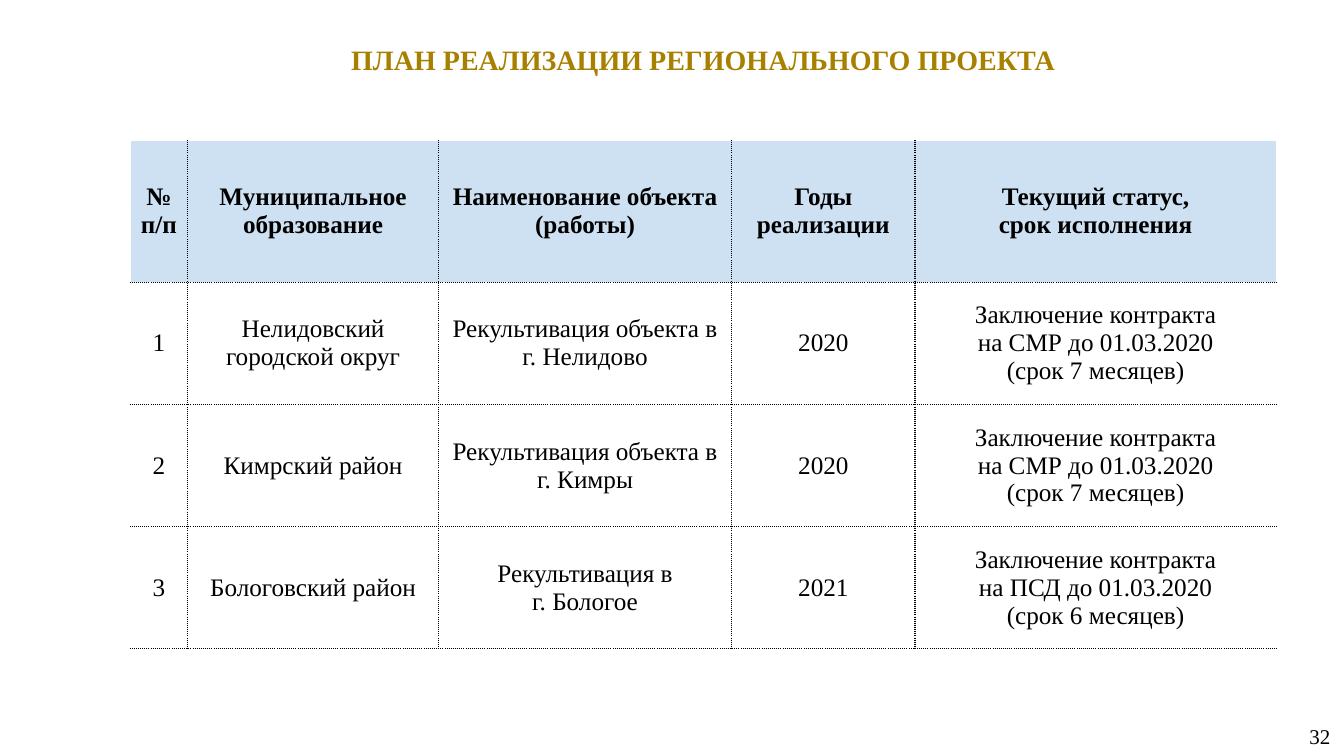
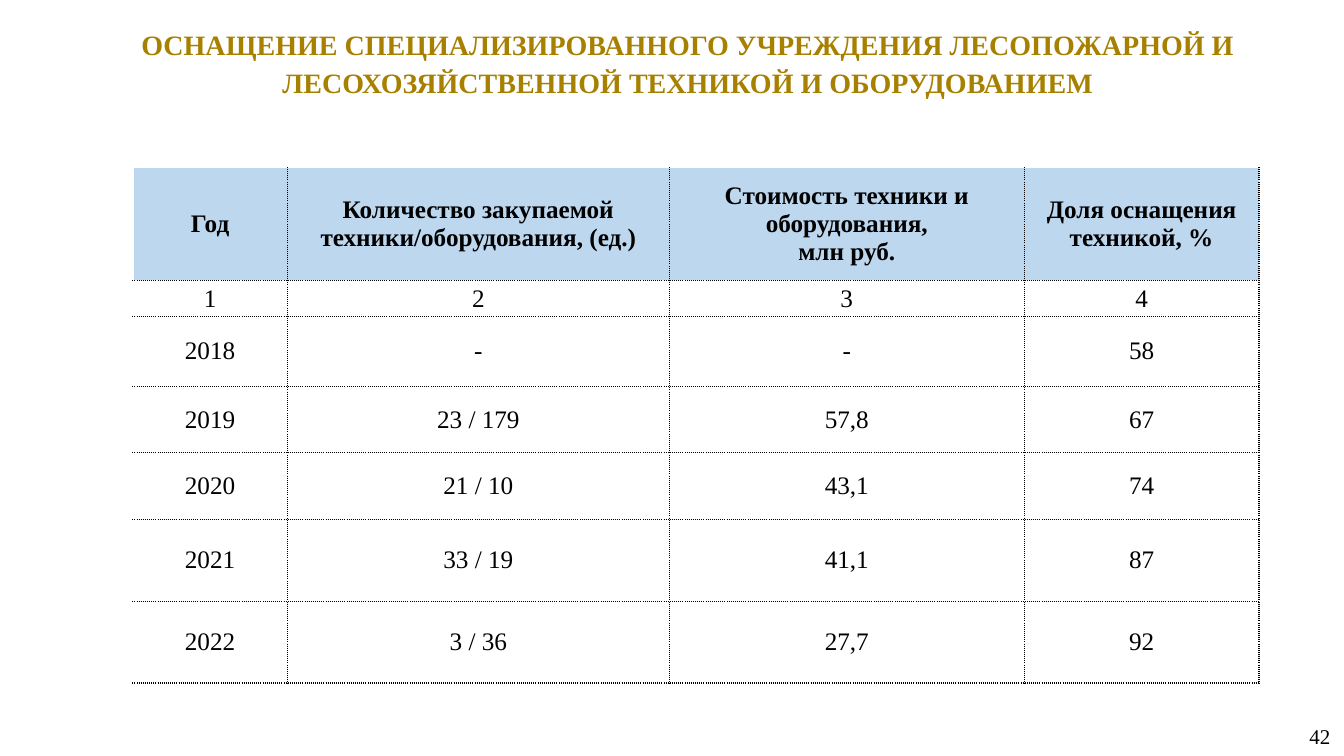
"""Build two slides with a title, a dotted-rule table and a page number each."""
from lxml import etree
from pptx import Presentation
from pptx import util as u
from pptx.dml.color import RGBColor
from pptx.enum import text as t
from pptx.oxml.ns import qn

COLORS = {"title": "A88000", "text": "000000", "rule": "000000", "edge": "FFFFFF"}
FONT = "Times New Roman"

SLIDES = [
    {
        "title": "ПЛАН РЕАЛИЗАЦИИ РЕГИОНАЛЬНОГО ПРОЕКТА",
        "title_box": (3.28, 0.94, 28.88, 1.1),
        "title_margins": (0.25, 0.13),
        "title_spacing": 1.0,
        "page": "32",
        "origin": (3.28, 3.54),
        "columns": [1.45, 6.32, 7.39, 4.62, 9.1],
        "rows": [3.57, 3.08, 3.08, 3.08],
        "header_fill": "CEE1F2",
        "open_sides": "LTR",
        "cell_margin": 0,
        "cells": [
            ["№ п/п", "Муниципальное\nобразование", "Наименование объекта (работы)",
             "Годы реализации", "Текущий статус,\nсрок исполнения"],
            ["1", "Нелидовский городской округ", "Рекультивация объекта в\nг. Нелидово",
             "2020", "Заключение контракта\nна СМР до 01.03.2020\n(срок 7 месяцев)"],
            ["2", "Кимрский район", "Рекультивация объекта в\nг. Кимры",
             "2020", "Заключение контракта\nна СМР до 01.03.2020\n(срок 7 месяцев)"],
            ["3", "Бологовский район", "Рекультивация в\nг. Бологое",
             "2021", "Заключение контракта\nна ПСД до 01.03.2020\n(срок 6 месяцев)"],
        ],
    },
    {
        "title": "ОСНАЩЕНИЕ СПЕЦИАЛИЗИРОВАННОГО УЧРЕЖДЕНИЯ ЛЕСОПОЖАРНОЙ И "
                 "ЛЕСОХОЗЯЙСТВЕННОЙ ТЕХНИКОЙ И ОБОРУДОВАНИЕМ",
        "title_box": (2.46, 0.38, 29.74, 2.24),
        "title_margins": (0.33, 0.18),
        "title_spacing": 1.15,
        "page": "42",
        "origin": (3.35, 4.22),
        "columns": [3.89, 9.63, 8.94, 5.92],
        "rows": [2.84, 0.92, 1.75, 1.68, 1.68, 2.06, 2.06],
        "header_fill": "BDD7EE",
        "open_sides": "LT",
        "cell_margin": 0.1,
        "cells": [
            ["Год", "Количество закупаемой техники/оборудования, (ед.)",
             "Стоимость техники и оборудования,\nмлн руб.", "Доля оснащения техникой, %"],
            ["1", "2", "3", "4"],
            ["2018", "-", "-", "58"],
            ["2019", "23 / 179", "57,8", "67"],
            ["2020", "21 / 10", "43,1", "74"],
            ["2021", "33 / 19", "41,1", "87"],
            ["2022", "3 / 36", "27,7", "92"],
        ],
    },
]


def write(frame, content, size=18, bold=False, color="text", spacing=1.0,
          margins=(0.25, 0.13), anchor=t.MSO_ANCHOR.MIDDLE):
    frame.text = content
    frame.word_wrap = True
    frame.vertical_anchor = anchor
    frame.margin_left = frame.margin_right = u.Cm(margins[0])
    frame.margin_top = frame.margin_bottom = u.Cm(margins[1])
    for para in frame.paragraphs:
        para.alignment = t.PP_ALIGN.CENTER
        para.line_spacing = spacing
        for span in para.runs:
            span.font.name = FONT
            span.font.size = u.Pt(size)
            span.font.bold = bold
            span.font.color.rgb = RGBColor.from_string(COLORS[color])


def add_border(cell, side, color, dash):
    line = etree.SubElement(cell._tc.get_or_add_tcPr(), qn(f"a:ln{side}"), w=str(u.Pt(1)))
    fill = etree.SubElement(line, qn("a:solidFill"))
    etree.SubElement(fill, qn("a:srgbClr"), val=color)
    etree.SubElement(line, qn("a:prstDash"), val=dash)


deck = Presentation()
deck.slide_width, deck.slide_height = u.Cm(33.87), u.Cm(19.05)

for content in SLIDES:
    page = deck.slides.add_slide(deck.slide_layouts[5])
    title = page.shapes.title
    title.left, title.top, title.width, title.height = map(u.Cm, content["title_box"])
    write(title.text_frame, content["title"], size=20, bold=True, color="title",
          spacing=content["title_spacing"], margins=content["title_margins"],
          anchor=t.MSO_ANCHOR.TOP)
    title.text_frame.auto_size = t.MSO_AUTO_SIZE.NONE

    widths, heights = content["columns"], content["rows"]
    left, top = content["origin"]
    table = page.shapes.add_table(len(heights), len(widths), u.Cm(left), u.Cm(top),
                                  u.Cm(sum(widths)), u.Cm(sum(heights))).table
    table.first_row = table.horz_banding = False
    for column, width in zip(table.columns, widths):
        column.width = u.Cm(width)
    for row, height in zip(table.rows, heights):
        row.height = u.Cm(height)

    for r, values in enumerate(content["cells"]):
        for c, value in enumerate(values):
            cell = table.cell(r, c)
            outer = {"L": c == 0, "R": c == len(widths) - 1, "T": r == 0, "B": False}
            for side, is_outer in outer.items():
                if is_outer and side in content["open_sides"]:
                    add_border(cell, side, COLORS["edge"], "solid")
                else:
                    add_border(cell, side, COLORS["rule"], "sysDot")
            if r == 0:
                cell.fill.solid()
                cell.fill.fore_color.rgb = RGBColor.from_string(content["header_fill"])
            else:
                cell.fill.background()
            write(cell.text_frame, value, bold=r == 0)
            cell.vertical_anchor = t.MSO_ANCHOR.MIDDLE
            cell.margin_left = cell.margin_right = u.Cm(content["cell_margin"])
            cell.margin_top = cell.margin_bottom = 0

    number = page.shapes.add_textbox(u.Cm(32.66), u.Cm(18.03), u.Cm(1.21), u.Cm(1.02))
    write(number.text_frame, content["page"], size=15)

deck.save("out.pptx")
